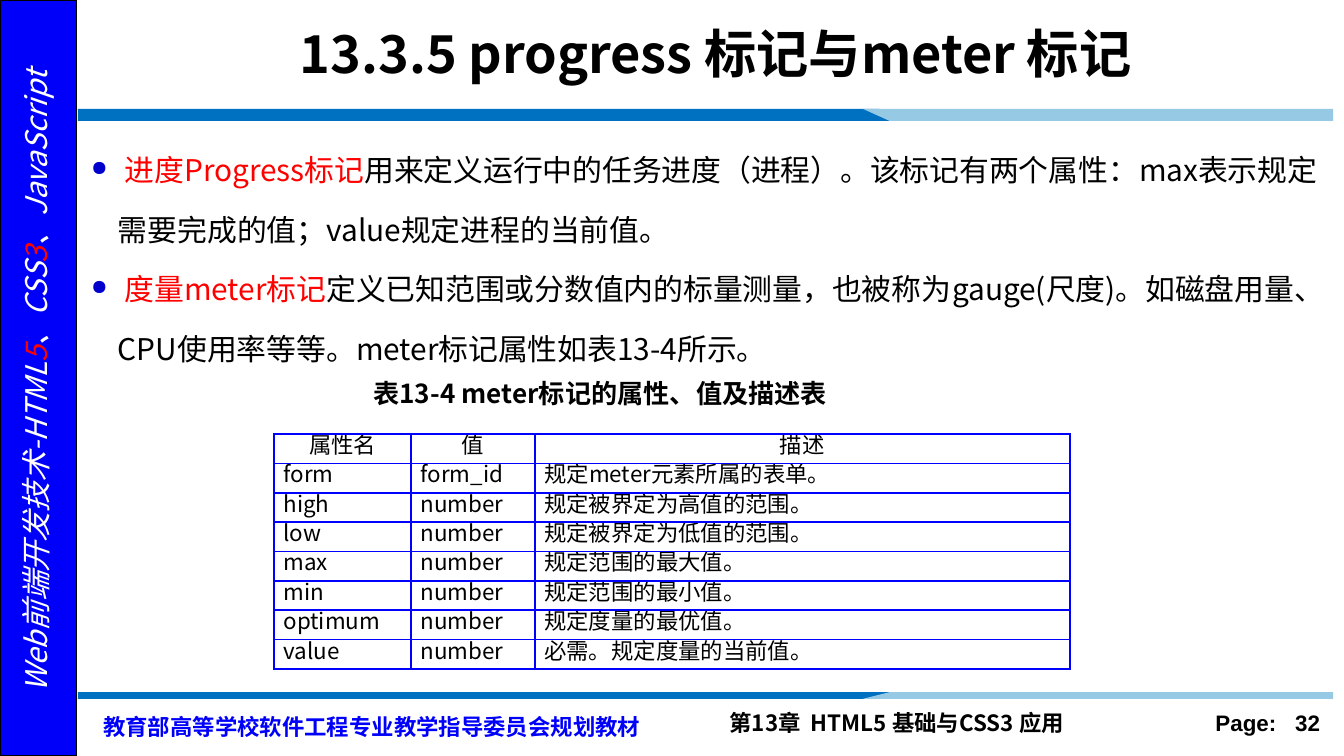
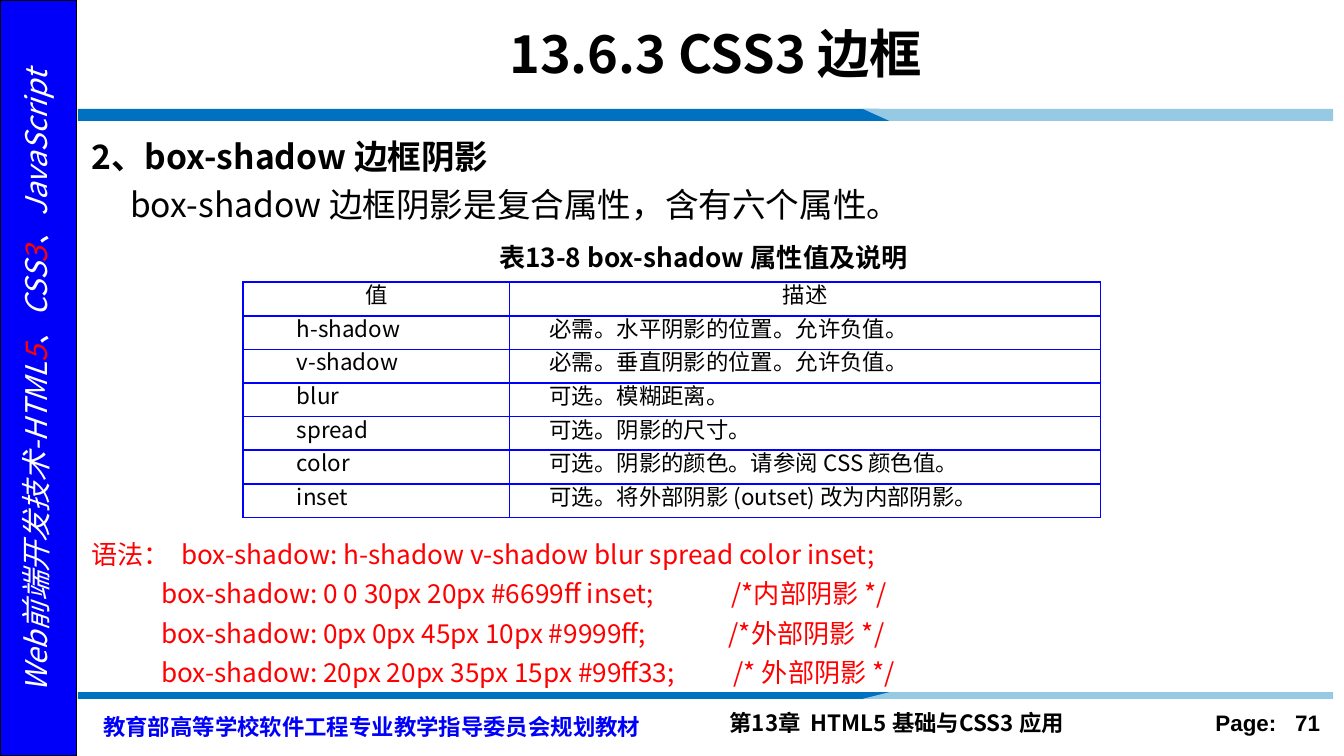
"""Build two lecture slides on HTML5 meter attributes and CSS3 box shadows."""
import pptx
import pptx.util
import pptx.dml.color
import pptx.enum.shapes
import pptx.enum.text
import pptx.oxml.ns
import lxml.etree

Inches = pptx.util.Inches
Pt = pptx.util.Pt
ALIGN = pptx.enum.text.PP_ALIGN
ANCHOR = pptx.enum.text.MSO_ANCHOR
FONT = "Noto Sans CJK SC"
COLORS = {
    "black": "000000", "white": "FFFFFF", "red": "FF0000", "strip": "0000FA",
    "bullet": "0000CC", "border": "0000FF", "band": "0070C0", "light_band": "96CAE4",
}

METER_ROWS = [
    ("属性名", "值", "描述"),
    ("form", "form_id", "规定meter元素所属的表单。"),
    ("high", "number", "规定被界定为高值的范围。"),
    ("low", "number", "规定被界定为低值的范围。"),
    ("max", "number", "规定范围的最大值。"),
    ("min", "number", "规定范围的最小值。"),
    ("optimum", "number", "规定度量的最优值。"),
    ("value", "number", "必需。规定度量的当前值。"),
]
SHADOW_ROWS = [
    ("值", "描述"),
    ("h-shadow", "必需。水平阴影的位置。允许负值。"),
    ("v-shadow", "必需。垂直阴影的位置。允许负值。"),
    ("blur", "可选。模糊距离。"),
    ("spread", "可选。阴影的尺寸。"),
    ("color", "可选。阴影的颜色。请参阅 CSS 颜色值。"),
    ("inset", "可选。将外部阴影 (outset) 改为内部阴影。"),
]
SHADOW_EXAMPLES = [
    ("0 0 30px 20px #6699ff inset;", 38, "/*内部阴影 */"),
    ("0px 0px 45px 10px #9999ff;", 41, "/*外部阴影 */"),
    ("20px 20px 35px 15px #99ff33;", 28, "/* 外部阴影 */"),
]


def rgb(name):
    """Return a named colour."""
    return pptx.dml.color.RGBColor.from_string(COLORS[name])


def add_xml(parent, tag, **attributes):
    """Append a DrawingML element and return it."""
    return lxml.etree.SubElement(parent, pptx.oxml.ns.qn(tag), attributes)


def add_run(paragraph, text, size, color="black", bold=False, italic=False,
            font=FONT, spacing=0):
    """Add one formatted run, with extra letter spacing in points."""
    run = paragraph.add_run()
    run.text = text
    run.font.size = Pt(size)
    run.font.bold = bold
    run.font.italic = italic
    run.font.color.rgb = rgb(color)
    run.font.name = font
    properties = run.font._element
    add_xml(properties, "a:ea", typeface=font)
    if spacing:
        properties.set("spc", str(round(spacing * 100)))


def add_paragraph(frame, align=ALIGN.LEFT, line=None, before=0, margin=0, indent=0,
                  bullet=None):
    """Start a paragraph, using the frame's first one while it is empty."""
    paragraph = frame.paragraphs[0]
    if paragraph.runs:
        paragraph = frame.add_paragraph()
    paragraph.alignment = align
    paragraph.space_before = Pt(before)
    if line:
        paragraph.line_spacing = line
    properties = paragraph._p.get_or_add_pPr()
    properties.set("marL", str(Inches(margin)))
    properties.set("indent", str(Inches(indent)))
    if bullet:
        color = add_xml(properties, "a:buClr")
        add_xml(color, "a:srgbClr", val=COLORS["bullet"])
        add_xml(properties, "a:buSzPct", val="70000")
        add_xml(properties, "a:buChar", char=bullet)
    return paragraph


def add_text_box(slide, left, top, width, height):
    """Add a wrapping text box and return it."""
    box = slide.shapes.add_textbox(Inches(left), Inches(top), Inches(width), Inches(height))
    box.text_frame.word_wrap = True
    return box


def add_polygon(slide, points, color):
    """Add a filled outline through points in inches."""
    corners = [(Inches(x), Inches(y)) for x, y in points]
    builder = slide.shapes.build_freeform(*corners[0])
    builder.add_line_segments(corners[1:], close=True)
    shape = builder.convert_to_shape()
    shape.shadow.inherit = False
    shape.fill.solid()
    shape.fill.fore_color.rgb = rgb(color)
    shape.line.fill.background()


def add_band(slide, start, end):
    """Add a two-tone band whose slanted joint runs from start to end height."""
    add_polygon(slide, [(0.58, start), (6.54, start), (6.72, end), (0.58, end)], "band")
    add_polygon(slide, [(6.42, start), (9.92, start), (9.92, end), (6.62, end)], "light_band")


def add_side_strip(slide, height):
    """Add the blue strip with the rotated course name."""
    strip = slide.shapes.add_shape(pptx.enum.shapes.MSO_SHAPE.RECTANGLE,
                                   0, 0, Inches(0.57), height)
    strip.shadow.inherit = False
    strip.fill.solid()
    strip.fill.fore_color.rgb = rgb("strip")
    strip.line.color.rgb = rgb("black")
    strip.line.width = Pt(1)
    box = add_text_box(slide, -2.31, 2.67, 5.19, 0.34)
    box.rotation = 270
    paragraph = add_paragraph(box.text_frame, ALIGN.CENTER, line=0.9, before=3.2)
    for text, color in [("Web前端开发技术-HTML", "white"), ("5", "red"), ("、CSS", "white"),
                        ("3", "red"), ("、JavaScript", "white")]:
        add_run(paragraph, text, 16, color, italic=True)


def add_footer(slide, page):
    """Add the series, chapter and page texts."""
    series = add_paragraph(add_text_box(slide, 0.67, 5.23, 4.33, 0.35).text_frame, line=Pt(18))
    add_run(series, "教育部高等学校软件工程专业教学指导委员会规划教材", 12, "strip", bold=True)
    add_run(series, " ", 20, "strip", bold=True)
    chapter = add_paragraph(add_text_box(slide, 5.33, 5.23, 3.29, 0.3).text_frame)
    add_run(chapter, "第13章", 12, bold=True)
    add_run(chapter, " ", 12, bold=True, spacing=2.7)
    add_run(chapter, "HTML5 基础与CSS3 应用", 12, bold=True)
    number = add_paragraph(add_text_box(slide, 8.67, 5.23, 1.25, 0.3).text_frame, ALIGN.RIGHT)
    add_run(number, "Page:", 12, bold=True, font="Arial")
    add_run(number, " ", 12, bold=True, font="Arial", spacing=6.7)
    add_run(number, str(page), 12, bold=True, font="Arial")


def add_slide(presentation, title, page):
    """Add a slide with its title, side strip, bands and footer."""
    slide = presentation.slides.add_slide(presentation.slide_layouts[5])
    add_side_strip(slide, presentation.slide_height)
    add_band(slide, 0.81, 0.9)
    add_band(slide, 5.2, 5.15)
    add_footer(slide, page)
    heading = slide.shapes.title
    heading.left, heading.top = Inches(1.08), Inches(0.08)
    heading.width, heading.height = Inches(8.49), Inches(0.62)
    frame = heading.text_frame
    frame.auto_size = pptx.enum.text.MSO_AUTO_SIZE.NONE
    frame.vertical_anchor = ANCHOR.MIDDLE
    add_run(add_paragraph(frame, ALIGN.CENTER), title, 28, bold=True)
    return slide


def format_cell(cell, text, is_header, indent):
    """Write a cell's text and give it thin blue borders."""
    cell.margin_left = cell.margin_right = Inches(0.07)
    cell.margin_top = cell.margin_bottom = 0
    cell.vertical_anchor = ANCHOR.MIDDLE
    paragraph = add_paragraph(cell.text_frame, ALIGN.CENTER if is_header else ALIGN.JUSTIFY,
                              line=Pt(12), before=2.4, indent=0 if is_header else indent)
    add_run(paragraph, text, 12)
    properties = cell._tc.get_or_add_tcPr()
    for side in ("a:lnL", "a:lnR", "a:lnT", "a:lnB"):
        line = add_xml(properties, side, w=str(Pt(1)))
        add_xml(add_xml(line, "a:solidFill"), "a:srgbClr", val=COLORS["border"])
    cell.fill.background()


def add_grid(slide, left, top, widths, row_height, rows, indents):
    """Add a bordered table with a centred header row."""
    frame = slide.shapes.add_table(len(rows), len(widths), Inches(left), Inches(top),
                                   Inches(sum(widths)), Inches(row_height * len(rows)))
    table = frame.table
    table.first_row = table.horz_banding = False
    for column, width in zip(table.columns, widths):
        column.width = Inches(width)
    for row_index, texts in enumerate(rows):
        table.rows[row_index].height = Inches(row_height)
        for column_index, text in enumerate(texts):
            format_cell(table.cell(row_index, column_index), text,
                        row_index == 0, indents[column_index])


def add_code_line(frame, start, gap, end, indent=0):
    """Add a red line of two parts with a gap in points between them."""
    paragraph = add_paragraph(frame, line=Pt(21), indent=indent)
    add_run(paragraph, start, 14, "red")
    add_run(paragraph, " ", 14, "red", spacing=gap)
    add_run(paragraph, end, 14, "red")


def add_meter_slide(presentation):
    """Add the slide on progress and meter."""
    slide = add_slide(presentation, "13.3.5 progress 标记与meter 标记", 32)
    frame = add_text_box(slide, 0.58, 0.9, 9.33, 2.25).text_frame
    for term, explanation in [
        ("进度Progress标记", "用来定义运行中的任务进度（进程）。该标记有两个属性：max表示规定需要"
                         "完成的值；value规定进程的当前值。"),
        ("度量meter标记", "定义已知范围或分数值内的标量测量，也被称为gauge(尺度)。如磁盘用量、"
                      "CPU使用率等等。meter标记属性如表13-4所示。"),
    ]:
        paragraph = add_paragraph(frame, line=Pt(32), margin=0.2, indent=-0.2, bullet="●")
        add_run(paragraph, " " + term, 16, "red")
        add_run(paragraph, explanation, 16)
    caption = add_paragraph(frame, before=6, indent=2.1)
    add_run(caption, "表13-4 meter标记的属性、值及描述表", 14, bold=True)
    add_grid(slide, 2.04, 3.23, [1.02, 0.92, 3.98], 1.75 / 8, METER_ROWS, [0, 0, 0])


def add_shadow_slide(presentation):
    """Add the slide on box-shadow."""
    slide = add_slide(presentation, "13.6.3 CSS3 边框", 71)
    frame = add_text_box(slide, 0.58, 0.9, 9.31, 1.17).text_frame
    line = Pt(26)
    add_run(add_paragraph(frame, line=line), "2、box-shadow 边框阴影", 18, bold=True)
    add_run(add_paragraph(frame, line=line, indent=0.29),
            "box-shadow 边框阴影是复合属性，含有六个属性。", 18)
    add_run(add_paragraph(frame, ALIGN.CENTER, line=line),
            "表13-8 box-shadow 属性值及说明", 14, bold=True)
    add_grid(slide, 1.81, 2.1, [1.98, 4.4], 0.25, SHADOW_ROWS, [0.33, 0.23])
    syntax = add_text_box(slide, 0.58, 3.9, 9.33, 1.28).text_frame
    add_code_line(syntax, "语法：", 3, "box-shadow: h-shadow v-shadow blur spread color inset;")
    for value, gap, comment in SHADOW_EXAMPLES:
        add_code_line(syntax, "box-shadow: " + value, gap, comment, indent=0.52)


def main():
    """Build and save the presentation."""
    presentation = pptx.Presentation()
    presentation.slide_width = Inches(10)
    presentation.slide_height = Inches(10 * 9 / 16)
    add_meter_slide(presentation)
    add_shadow_slide(presentation)
    presentation.save("out.pptx")


main()
